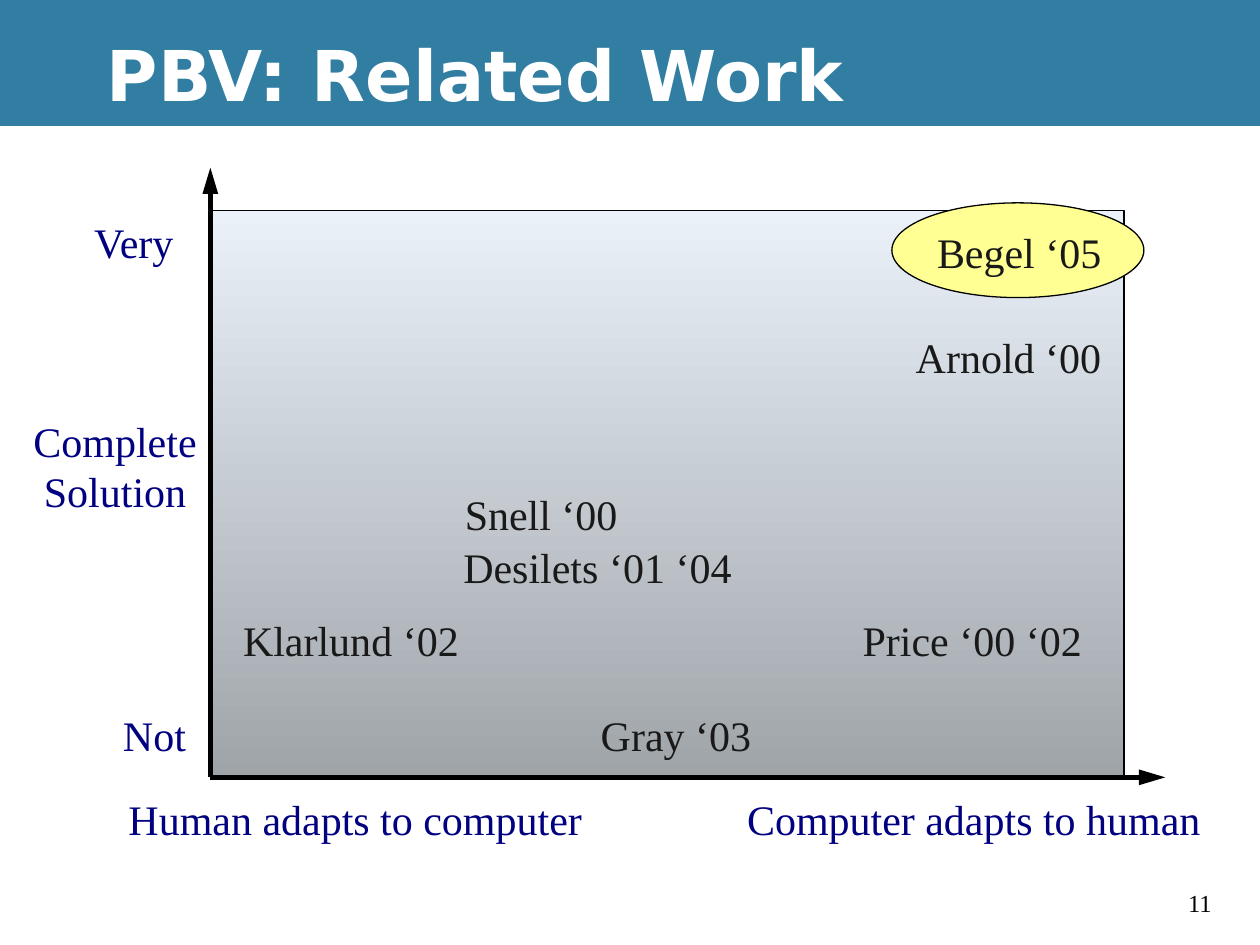
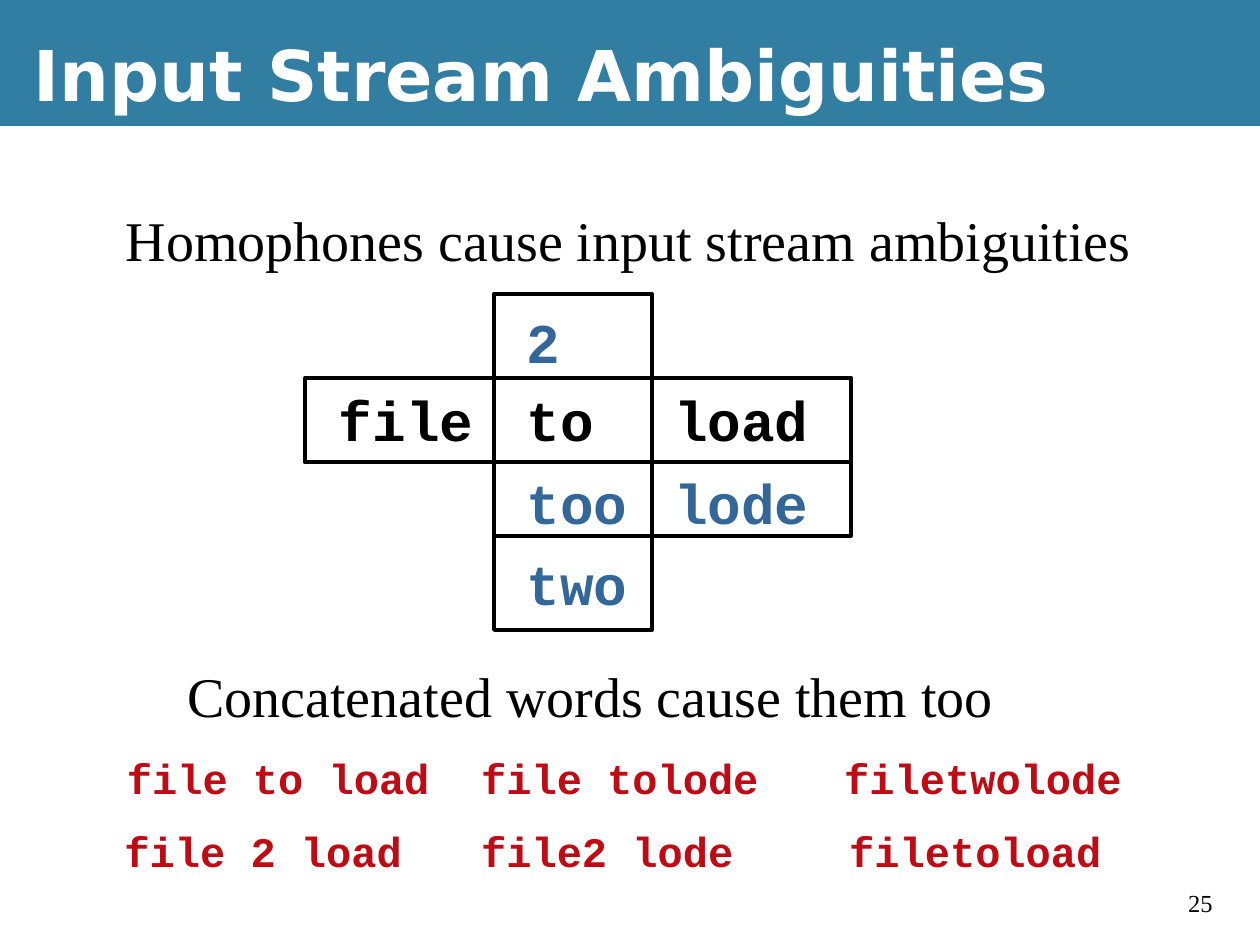
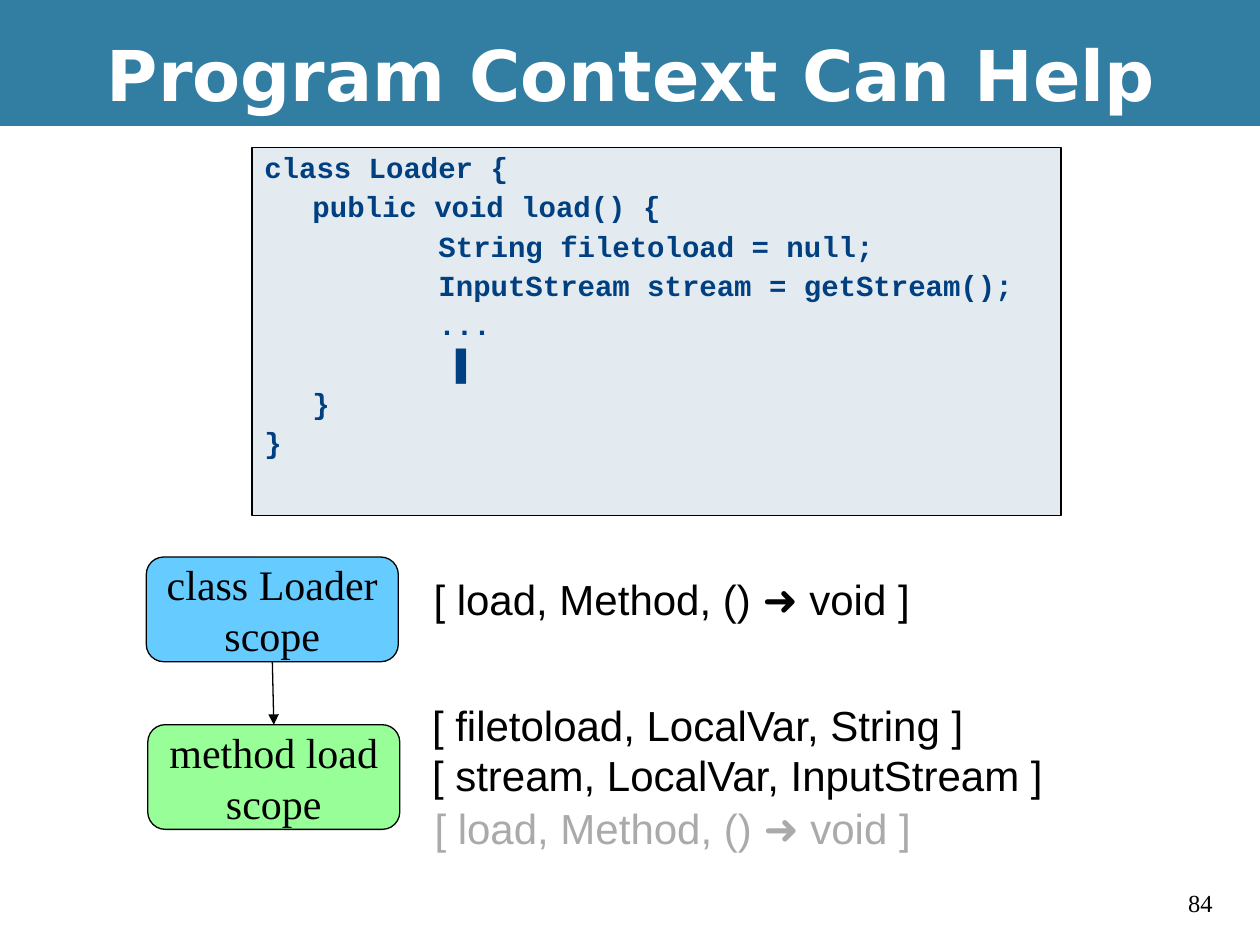
from lxml.etree import SubElement
from pptx import Presentation
from pptx.dml.color import RGBColor
from pptx.enum.shapes import MSO_CONNECTOR as CONNECTOR, MSO_SHAPE as SHAPE
from pptx.enum.text import MSO_ANCHOR as ANCHOR, MSO_AUTO_SIZE as FIT, PP_ALIGN as ALIGN
from pptx.oxml.ns import qn
from pptx.util import Cm, Pt

COLORS = {
    "band": "327EA3", "white": "FFFFFF", "black": "000000", "navy": "000080",
    "author": "191919", "highlight": "FFFF93", "plot_top": "EAF1F8", "plot_bottom": "9FA4A9",
    "homophone": "336699", "phrase": "C00B15", "code": "004080", "code_back": "E3EBF1",
    "class_scope": "66CCFF", "method_scope": "98FF98", "faded": "AAAAAA",
}
SERIF, SANS, MONO, HEADING = "Times New Roman", "Arial", "Courier New", "DejaVu Sans"

STYLES = {
    "title": ({"name": HEADING, "size": Pt(40), "bold": True}, "white"),
    "page": ({"name": SERIF, "size": Pt(14)}, "black"),
    "axis": ({"name": SERIF, "size": Pt(24)}, "navy"),
    "author": ({"name": SERIF, "size": Pt(24)}, "author"),
    "sentence": ({"name": SERIF, "size": Pt(32)}, "black"),
    "word": ({"name": MONO, "size": Pt(32), "bold": True}, "black"),
    "homophone": ({"name": MONO, "size": Pt(32), "bold": True}, "homophone"),
    "phrase": ({"name": MONO, "size": Pt(24), "bold": True}, "phrase"),
    "code": ({"name": MONO, "size": Pt(16.6), "bold": True}, "code"),
    "cursor": ({"name": SANS, "size": Pt(16.6), "bold": True}, "code"),
    "scope": ({"name": SERIF, "size": Pt(24)}, "black"),
    "binding": ({"name": SANS, "size": Pt(24)}, "black"),
    "inherited": ({"name": SANS, "size": Pt(24)}, "faded"),
}
LABEL_FRAME = {"word_wrap": True, "auto_size": FIT.NONE, "vertical_anchor": ANCHOR.TOP}
TITLE_FRAME = {"word_wrap": True, "auto_size": FIT.NONE, "vertical_anchor": ANCHOR.MIDDLE}
SCOPE_FRAME = {"word_wrap": False, "vertical_anchor": ANCHOR.MIDDLE}
CODE_FRAME = {"word_wrap": True, "vertical_anchor": ANCHOR.TOP}


def rgb(color):
    """Return the named colour."""
    return RGBColor.from_string(COLORS[color])


def set_all(target, values):
    """Set every attribute in a dict of format values."""
    for attribute, value in values.items():
        setattr(target, attribute, value)


def place(origin, dx, dy, width, height):
    """Return a rectangle offset from the origin, all in centimetres."""
    return [Cm(length) for length in (origin[0] + dx, origin[1] + dy, width, height)]


def style_run(run, style):
    """Apply a named text style to a run."""
    values, color = STYLES[style]
    set_all(run.font, values)
    run.font.color.rgb = rgb(color)


def fill_text(frame, text, style, frame_values, align=ALIGN.LEFT):
    """Write styled text into a text frame."""
    set_all(frame, frame_values)
    frame.text = text
    for paragraph in frame.paragraphs:
        paragraph.alignment = align
        for run in paragraph.runs:
            style_run(run, style)


def add_label(slide, text, style, rect, align=ALIGN.LEFT):
    """Add a label in a box of fixed size."""
    fill_text(slide.shapes.add_textbox(*rect).text_frame, text, style, LABEL_FRAME, align)


def add_box(slide, preset, rect, fill=None, line_width=0.75):
    """Add a preset shape with an optional fill and black outline."""
    box = slide.shapes.add_shape(preset, *rect)
    box.shadow.inherit = False
    if fill:
        box.fill.solid()
        box.fill.fore_color.rgb = rgb(fill)
    else:
        box.fill.background()
    if line_width:
        box.line.color.rgb = rgb("black")
        box.line.width = Pt(line_width)
    else:
        box.line.fill.background()
    return box


def add_arrow(slide, start, end, width, head_length="med"):
    """Add a straight black arrow between two points in centimetres."""
    arrow = slide.shapes.add_connector(CONNECTOR.STRAIGHT, *(Cm(value) for value in start + end))
    arrow.line.color.rgb = rgb("black")
    arrow.line.width = Pt(width)
    SubElement(arrow.line._get_or_add_ln(), qn("a:tailEnd"), type="triangle", len=head_length)
    SubElement(arrow._element.spPr, qn("a:effectLst"))
    return arrow


def add_titled_slide(prs, title, page, title_left=1.9, title_width=23.5):
    """Add a slide with the title band, title and page number."""
    slide = prs.slides.add_slide(prs.slide_layouts[5])
    band = add_box(slide, SHAPE.RECTANGLE, place((0, 0), 0, 0, 25.4, 2.54), "band", 0)
    slide.shapes._spTree.insert(2, band._element)
    heading = slide.shapes.title
    left, top, width, height = place((0, 0), title_left, 0.21, title_width, 2.54)
    set_all(heading, {"left": left, "top": top, "width": width, "height": height})
    fill_text(heading.text_frame, title, "title", TITLE_FRAME)
    add_label(slide, page, "page", place((0, 0), 23.7, 17.78, 1.27, 0.86))
    return slide


def draw_related_work(slide, box):
    """Draw the plane of related work with its axes inside and around the box."""
    left, top, width, height = box
    origin, corner = (left, top), (left, top + height)
    plane = add_box(slide, SHAPE.RECTANGLE, place(origin, 0, 0, width, height), "plot_top")
    plane.fill.gradient()
    plane.fill.gradient_angle = 270
    for stop, color in zip(plane.fill.gradient_stops, ("plot_top", "plot_bottom")):
        stop.color.rgb = rgb(color)
    add_arrow(slide, corner, (left + 19.25, top + height), 3, "lg")
    add_arrow(slide, corner, (left, top - 0.86), 3, "lg")
    add_box(slide, SHAPE.OVAL, place(origin, 13.74, -0.15, 5.08, 1.91), "highlight")

    add_label(slide, "Complete\vSolution", "axis",
              place(origin, -4.01, 4.01, 4.18, 2.29), ALIGN.CENTER)
    labels = {
        "axis": [
            ("Computer adapts to human", 10.57, 11.63, 10),
            ("Human adapts to computer", -1.9, 11.63, 10),
            ("Very", -2.59, 0, 2.5),
            ("Not", -2.01, 9.93, 2),
        ],
        "author": [
            ("Arnold ‘00", 13.97, 2.31, 4.6),
            ("Snell ‘00", 4.88, 5.49, 4),
            ("Price ‘00 ‘02", 12.9, 8.03, 5.3),
            ("Desilets ‘01 ‘04", 4.85, 6.55, 6.3),
            ("Klarlund ‘02", 0.41, 8.03, 5.2),
            ("Gray ‘03", 7.62, 9.93, 4),
            ("Begel ‘05", 14.4, 0.2, 4.2),
        ],
    }
    for style, entries in labels.items():
        for text, dx, dy, label_width in entries:
            add_label(slide, text, style, place(origin, dx, dy, label_width, 1.27))


def mono_width(text, style):
    """Return the width in centimetres of a label in a fixed-pitch style."""
    return 0.8 + len(text) * 0.6 * STYLES[style][0]["size"].cm


def draw_homophones(slide, origin):
    """Draw the crossed frames of spoken words and their homophones."""
    columns, rows = (0.43, 4.22, 7.19), (0.15, 1.73, 3.4, 5.03)
    words = [
        ("file", 0, 1, "word"), ("to", 1, 1, "word"), ("load", 2, 1, "word"),
        ("2", 1, 0, "homophone"), ("too", 1, 2, "homophone"),
        ("two", 1, 3, "homophone"), ("lode", 2, 2, "homophone"),
    ]
    for word, column, row, style in words:
        add_label(slide, word, style,
                  place(origin, columns[column], rows[row], mono_width(word, style), 1.63))
    for frame in ((0, 1.7, 11, 1.7), (3.81, 0, 3.18, 6.78), (3.81, 1.7, 7.19, 3.18)):
        add_box(slide, SHAPE.RECTANGLE, place(origin, *frame), line_width=2.25)


def draw_phrases(slide, origin):
    """Draw the rows of concatenated phrases."""
    rows = [
        (("file to load", 0.02), ("file tolode", 7.16), ("filetwolode", 14.48)),
        (("file 2 load", -0.03), ("file2 lode", 7.16), ("filetoload", 14.58)),
    ]
    for index, row in enumerate(rows):
        for phrase, dx in row:
            add_label(slide, phrase, "phrase",
                      place(origin, dx, index * 1.47, mono_width(phrase, "phrase"), 1.27))


def draw_code(slide, box):
    """Draw the code listing with its cursor."""
    indents = (0, 0.97, 3.51)
    lines = [
        (0, "class Loader {"),
        (1, "public void load() {"),
        (2, "String filetoload = null;"),
        (2, "InputStream stream = getStream();"),
        (2, "..."),
        (2, " ▌"),
        (1, "}"),
        (0, "}"),
    ]
    panel = add_box(slide, SHAPE.RECTANGLE, place((0, 0), *box), "code_back")
    listing = panel.text_frame
    set_all(listing, CODE_FRAME)
    for index, (depth, line) in enumerate(lines):
        paragraph = listing.add_paragraph() if index else listing.paragraphs[0]
        paragraph._p.get_or_add_pPr().set("marL", str(Cm(indents[depth])))
        set_all(paragraph, {"alignment": ALIGN.LEFT, "line_spacing": 0.9})
        if index:
            paragraph.space_before = Pt(4.5)
        code, cursor, _ = line.partition("▌")
        for text, style in ((code, "code"), (cursor, "cursor")):
            if text:
                run = paragraph.add_run()
                run.text = text
                style_run(run, style)


def draw_scopes(slide, origin):
    """Draw the linked scopes and the bindings beside them."""
    scopes = []
    for text, fill, dx, dy in (("class Loader\vscope", "class_scope", 0, 0),
                               ("method load\vscope", "method_scope", 0.03, 3.38)):
        scope = add_box(slide, SHAPE.ROUNDED_RECTANGLE, place(origin, dx, dy, 5.08, 2.11), fill)
        fill_text(scope.text_frame, text, "scope", SCOPE_FRAME, ALIGN.CENTER)
        scopes.append(scope)
    link = add_arrow(slide, origin, origin, 0.75)
    link.begin_connect(scopes[0], 2)
    link.end_connect(scopes[1], 0)

    load = "[ load, Method, () ➜ void ]"
    local = "[ filetoload, LocalVar, String ]\n[ stream, LocalVar, InputStream ]"
    add_label(slide, load, "binding", place(origin, 5.54, 0.2, 10.5, 1.27))
    add_label(slide, local, "binding", place(origin, 5.51, 2.74, 13.3, 2.29))
    add_label(slide, load, "inherited", place(origin, 5.56, 4.83, 10.5, 1.27))


def main():
    """Build and save the presentation."""
    prs = Presentation()
    set_all(prs, {"slide_width": Cm(25.4), "slide_height": Cm(19.05)})

    related = add_titled_slide(prs, "PBV: Related Work", "11")
    draw_related_work(related, (4.24, 4.24, 18.42, 11.43))

    ambiguities = add_titled_slide(prs, "Input Stream Ambiguities", "25", 0.43, 24.77)
    add_label(ambiguities, "Homophones cause input stream ambiguities", "sentence",
              place((0, 0), 2.29, 4.01, 21.2, 1.63))
    draw_homophones(ambiguities, (6.15, 5.92))
    add_label(ambiguities, "Concatenated words cause them too", "sentence",
              place((0, 0), 3.53, 13.21, 17.2, 1.63))
    draw_phrases(ambiguities, (2.29, 15.04))

    context = add_titled_slide(prs, "Program Context Can Help", "84")
    draw_code(context, (5.08, 2.97, 16.31, 7.42))
    draw_scopes(context, (2.95, 11.23))

    prs.save("out.pptx")


if __name__ == "__main__":
    main()
